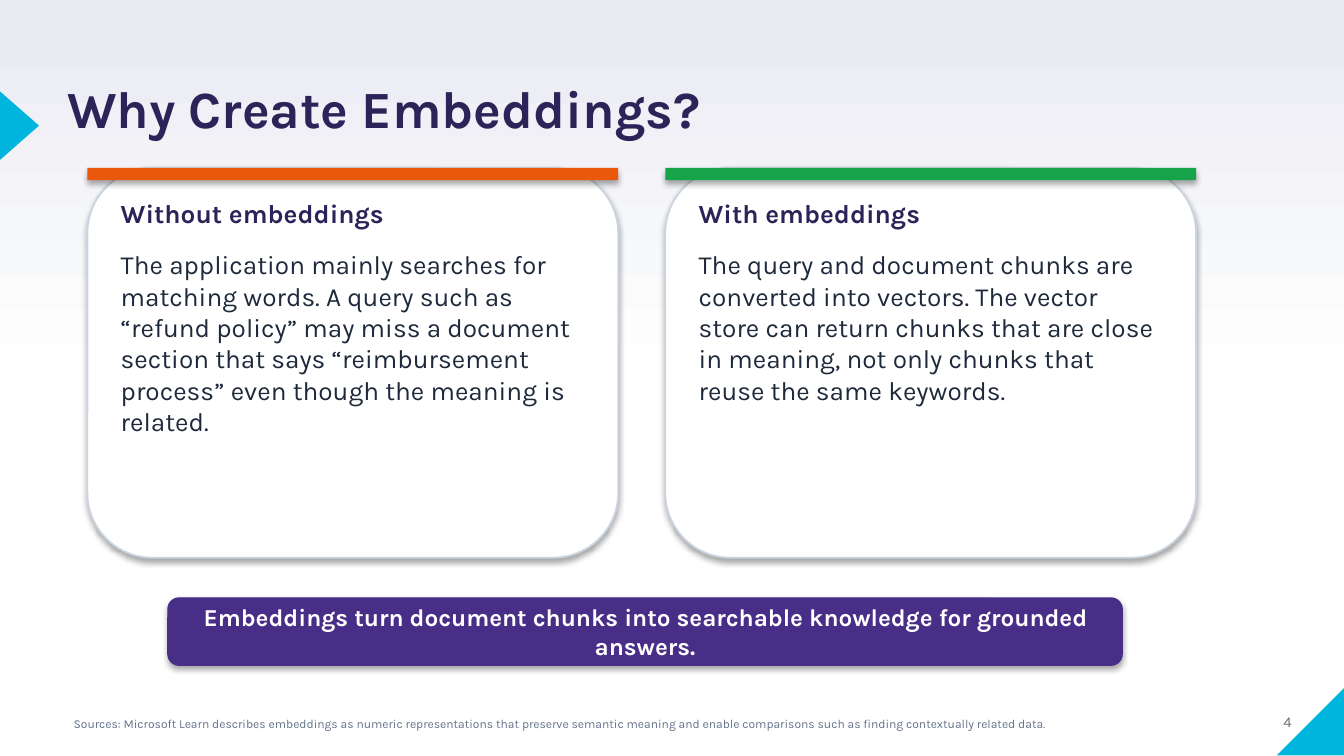
"""Build the slide that compares search without and with embeddings."""
from copy import deepcopy
from dataclasses import dataclass

from lxml import etree
from pptx import Presentation, util as u
from pptx.dml.color import RGBColor
from pptx.enum import shapes, text
from pptx.oxml.ns import qn

FONT = "Karla"
NAVY, PURPLE, CYAN, WHITE = "2C2358", "482E86", "00B5DD", "FFFFFF"
CARD_TOP, CARD_WIDTH, CARD_HEIGHT = 1.25, 3.95, 2.9
CARD_LEFT, CARD_STEP = 0.65, 4.3


@dataclass
class Card:
    heading: str
    body: str
    accent: str


@dataclass
class Style:
    size: float
    color: str
    bold: bool = False


CARDS = [
    Card(
        "Without embeddings",
        "The application mainly searches for matching words. A query such as "
        "“refund policy” may miss a document section that says “reimbursement "
        "process” even though the meaning is related.",
        "EA580C",
    ),
    Card(
        "With embeddings",
        "The query and document chunks are converted into vectors. The vector "
        "store can return chunks that are close in meaning, not only chunks that "
        "reuse the same keywords.",
        "16A34A",
    ),
]


def rgb(value: str) -> RGBColor:
    return RGBColor.from_string(value)


def add_run(paragraph, words: str, style: Style) -> None:
    run = paragraph.add_run()
    run.text = words
    run.font.name = FONT
    run.font.size = u.Pt(style.size)
    run.font.bold = style.bold
    run.font.color.rgb = rgb(style.color)


def add_label(slide, box: tuple, words: str, style: Style, wrap: bool = True):
    frame = slide.shapes.add_textbox(*map(u.Inches, box)).text_frame
    frame.word_wrap = wrap
    frame.auto_size = text.MSO_AUTO_SIZE.SHAPE_TO_FIT_TEXT
    add_run(frame.paragraphs[0], words, style)
    return frame


def set_margins(frame, margin: float) -> None:
    frame.margin_left = frame.margin_right = u.Inches(margin)
    frame.margin_top = frame.margin_bottom = u.Inches(margin)


def add_block(slide, kind, box: tuple, fill: str, line: str = "",
              weight: float = 1, shadow: bool = True):
    block = slide.shapes.add_shape(kind, *map(u.Inches, box))
    block.shadow.inherit = False
    block.fill.solid()
    block.fill.fore_color.rgb = rgb(fill)
    if line:
        block.line.color.rgb = rgb(line)
        block.line.width = u.Pt(weight)
    else:
        block.line.fill.background()
    if shadow:
        effects = block.element.spPr.find(qn("a:effectLst"))
        outer = etree.SubElement(
            effects, qn("a:outerShdw"), blurRad=str(u.Pt(3.1)),
            dist=str(u.Pt(1.8)), dir="5400000", rotWithShape="0")
        tint = etree.SubElement(outer, qn("a:srgbClr"), val="000000")
        etree.SubElement(tint, qn("a:alpha"), val="35000")
    return block


def paint_background(slide) -> None:
    fill = slide.background.fill
    fill.gradient()
    fill.gradient_angle = 90
    bottom, top = fill.gradient_stops
    bottom.color.rgb, bottom.position = rgb(WHITE), 0
    top.color.rgb, top.position = rgb("E9EAF2"), 1
    first = next(slide.element.iter(qn("a:gs")))
    middle = deepcopy(first)
    middle.set("pos", "50000")
    first.addnext(middle)


def add_decoration(slide) -> None:
    kinds = shapes.MSO_SHAPE
    corner = add_block(slide, kinds.RIGHT_TRIANGLE, (9.5, 5.11, 0.51, 0.51),
                       CYAN, shadow=False)
    corner.element.spPr.find(qn("a:xfrm")).set("flipH", "1")
    pointer = add_block(slide, kinds.ISOSCELES_TRIANGLE,
                        (-0.11, 0.79, 0.51, 0.29), CYAN, shadow=False)
    pointer.rotation = 90


def add_title(slide) -> None:
    title = add_label(slide, (0.5, 0.66, 6.17, 1.18),
                      "Why Create Embeddings?", Style(28, NAVY, True))
    title.auto_size = text.MSO_AUTO_SIZE.NONE
    set_margins(title, 0)
    title.paragraphs[0].line_spacing = 0.8


def add_card(slide, card: Card, left: float) -> None:
    kinds = shapes.MSO_SHAPE
    inner_left, inner_width = left + 0.15, CARD_WIDTH - 0.3
    add_block(slide, kinds.ROUNDED_RECTANGLE,
              (left, CARD_TOP, CARD_WIDTH, CARD_HEIGHT), WHITE, "CBD5E1")
    add_block(slide, kinds.RECTANGLE,
              (left, CARD_TOP, CARD_WIDTH, 0.09), card.accent)
    add_label(slide, (inner_left, 1.42, inner_width, 0.3), card.heading,
              Style(14, NAVY, True), wrap=False)
    add_label(slide, (inner_left, 1.8, inner_width, 2.25), card.body,
              Style(14, "1E293B"))


def add_takeaway(slide) -> None:
    banner = add_block(slide, shapes.MSO_SHAPE.ROUNDED_RECTANGLE,
                       (1.25, 4.45, 7.1, 0.5), PURPLE, PURPLE, 0.75)
    frame = banner.text_frame
    frame.word_wrap = True
    frame.vertical_anchor = text.MSO_ANCHOR.MIDDLE
    set_margins(frame, 0.05)
    frame.paragraphs[0].alignment = text.PP_ALIGN.CENTER
    add_run(frame.paragraphs[0],
            "Embeddings turn document chunks into searchable knowledge for "
            "grounded answers.", Style(13, WHITE, True))


def main() -> None:
    deck = Presentation()
    deck.slide_width = u.Inches(10)
    deck.slide_height = u.Inches(10 * 9 / 16)
    slide = deck.slides.add_slide(deck.slide_layouts[6])
    paint_background(slide)
    add_decoration(slide)
    add_title(slide)
    for index, card in enumerate(CARDS):
        add_card(slide, card, CARD_LEFT + index * CARD_STEP)
    add_takeaway(slide)
    add_label(slide, (0.45, 5.28, 9, 0.25),
              "Sources: Microsoft Learn describes embeddings as numeric "
              "representations that preserve semantic meaning and enable "
              "comparisons such as finding contextually related data.",
              Style(6.5, "64748B"))
    add_label(slide, (9.45, 5.25, 0.25, 0.2), "4", Style(8, "6E6E6E"),
              wrap=False)
    deck.save("out.pptx")


if __name__ == "__main__":
    main()
